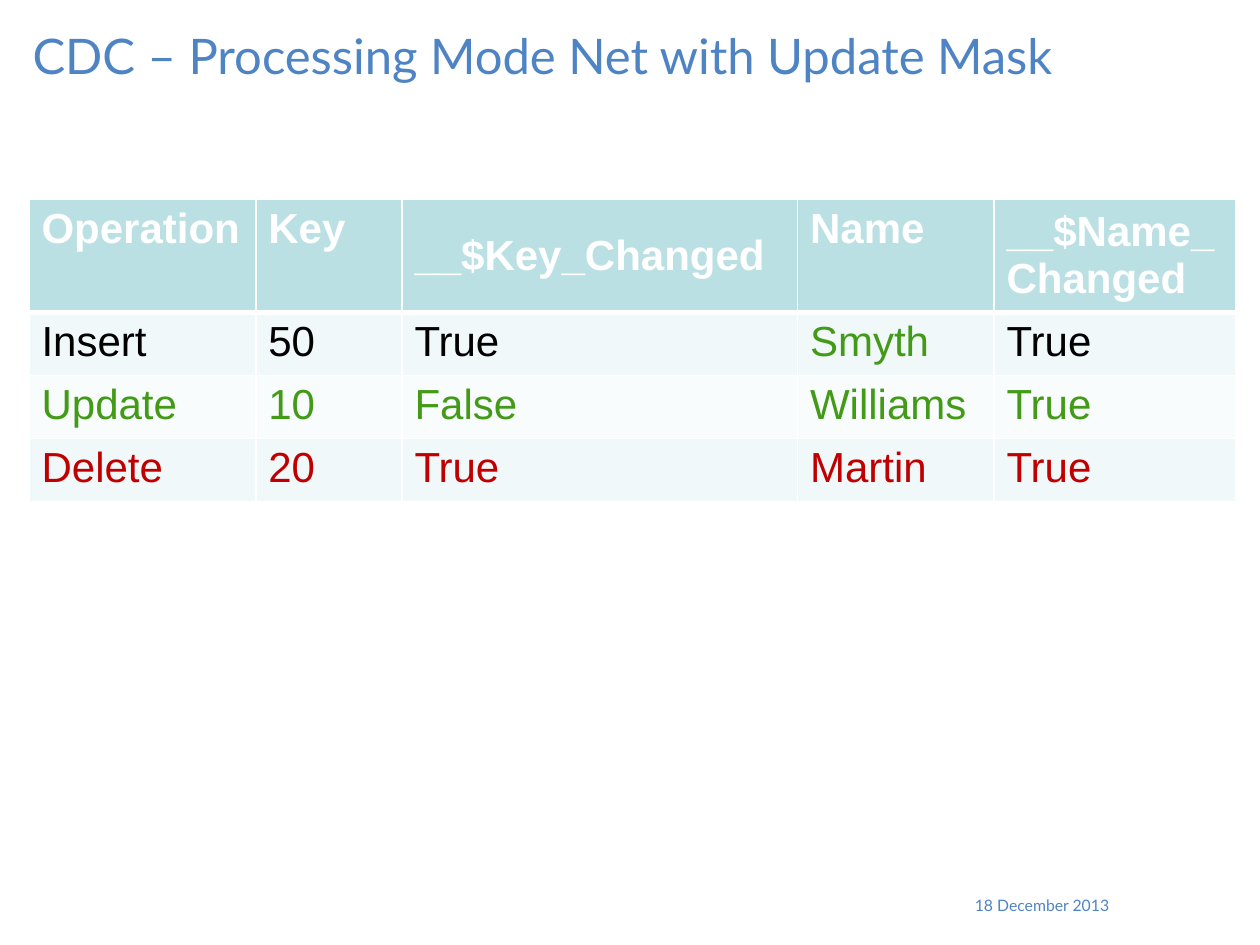
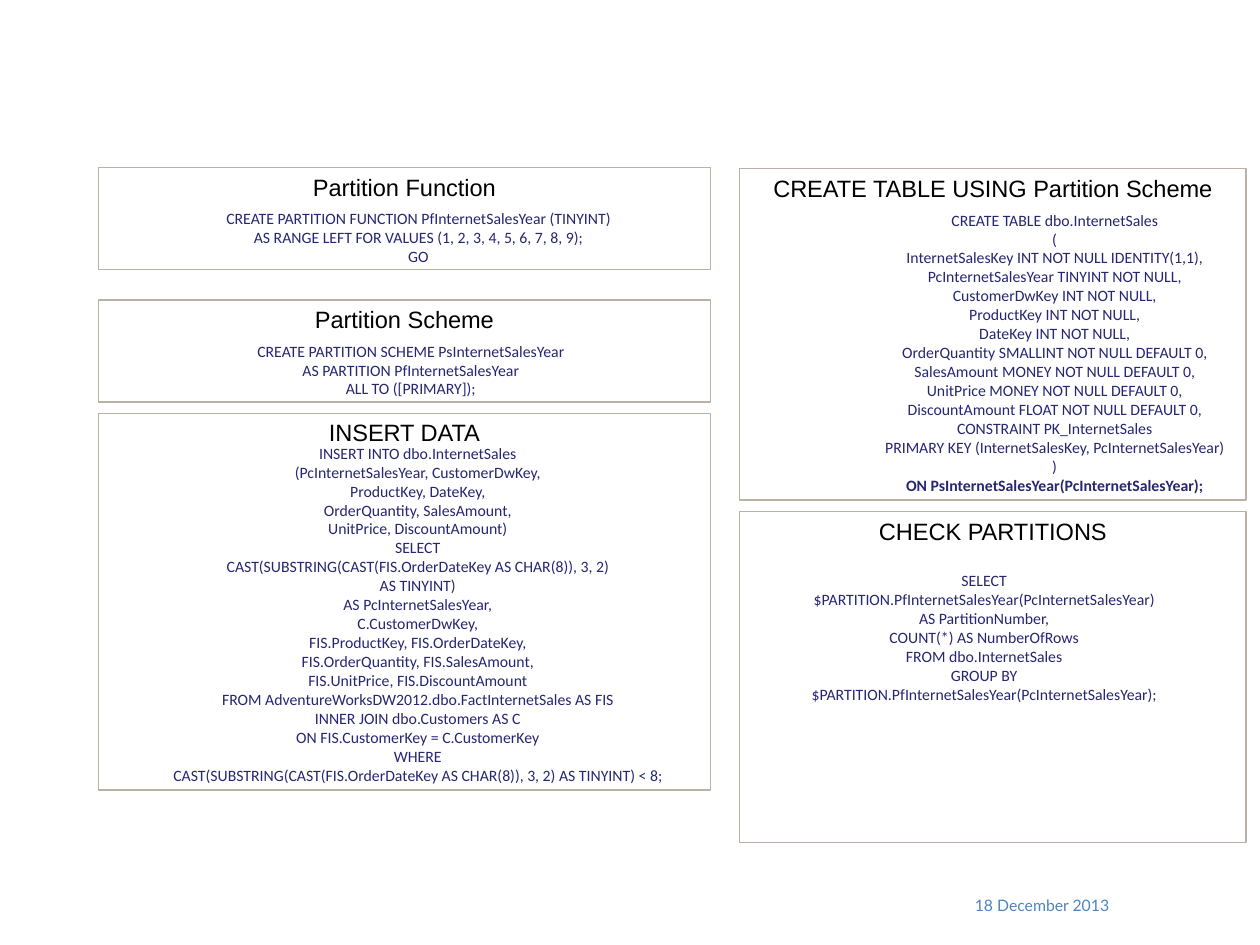
from lxml.etree import SubElement
from pptx import Presentation
from pptx.dml.color import RGBColor
from pptx.enum.shapes import MSO_SHAPE
from pptx.enum.text import MSO_ANCHOR, PP_ALIGN
from pptx.oxml.ns import qn
from pptx.util import Pt

EMU_PER_PX = 9144

WHITE = "FFFFFF"
BLACK = "000000"
ACCENT = "4E84C4"
CODE_INK = "262672"
PANEL_LINE = "BBB1A5"
HEADER_FILL = "BBE0E3"
BAND_FILLS = ("F1F8F9", "F8FCFC")
GREEN = "429A16"
RED = "C00000"


def px(length):
    return length * EMU_PER_PX


def color(value):
    return RGBColor.from_string(value)


class DeckBuilder:
    def __init__(self, width, height):
        self.deck = Presentation()
        self.deck.slide_width = px(width)
        self.deck.slide_height = px(height)
        self.page = None

    def new_page(self):
        self.page = self.deck.slides.add_slide(self.deck.slide_layouts[6])
        self.text((735, 706, 155, 35), "18 December 2013", 9, "Lato", ACCENT, PP_ALIGN.RIGHT)

    def fill_text(self, frame, content, size, font, ink, align=PP_ALIGN.LEFT, bold=False):
        frame.word_wrap = True
        frame.text = content
        for para in frame.paragraphs:
            para.alignment = align
            for span in para.runs:
                span.font.size = Pt(size)
                span.font.name = font
                span.font.bold = bold
                span.font.color.rgb = color(ink)

    def text(self, place, content, size, font, ink, align=PP_ALIGN.LEFT):
        box = self.page.shapes.add_textbox(*map(px, place))
        self.fill_text(box.text_frame, content, size, font, ink, align)
        return box

    def title(self, content):
        self.text((16, 15, 965, 67), content, 28, "Lato", ACCENT)

    def code(self, place, content):
        return self.text(place, content, 9, "Calibri", CODE_INK, PP_ALIGN.CENTER)

    def panel(self, place, heading):
        box = self.page.shapes.add_shape(MSO_SHAPE.RECTANGLE, *map(px, place))
        box.shadow.inherit = False
        box.fill.solid()
        box.fill.fore_color.rgb = color(WHITE)
        box.line.color.rgb = color(PANEL_LINE)
        box.line.width = Pt(0.75)
        frame = box.text_frame
        frame.margin_left = frame.margin_right = px(7)
        frame.margin_top = frame.margin_bottom = px(4)
        frame.vertical_anchor = MSO_ANCHOR.TOP
        self.fill_text(frame, heading, 13.5, "Arial", BLACK, PP_ALIGN.CENTER)

    def cell_borders(self, cell, top, bottom):
        properties = cell._tc.get_or_add_tcPr()
        for side, width in (("L", 1), ("R", 1), ("T", top), ("B", bottom)):
            line = SubElement(properties, qn(f"a:ln{side}"), w=str(Pt(width)))
            fill = SubElement(line, qn("a:solidFill"))
            SubElement(fill, qn("a:srgbClr"), val=WHITE)

    def table(self, left, top, widths, heights, rows, inks):
        frame = self.page.shapes.add_table(
            len(rows), len(widths), px(left), px(top), px(sum(widths)), px(sum(heights)))
        grid = frame.table
        grid.first_row = grid.horz_banding = False
        for column, width in zip(grid.columns, widths):
            column.width = px(width)
        for number, (row, height) in enumerate(zip(rows, heights)):
            grid.rows[number].height = px(height)
            header = number == 0
            for position, content in enumerate(row):
                cell = grid.cell(number, position)
                self.cell_borders(cell, 3 if number == 1 else 1, 3 if header else 1)
                cell.fill.solid()
                cell.fill.fore_color.rgb = color(HEADER_FILL if header else BAND_FILLS[(number - 1) % 2])
                if header and content.endswith("_Changed"):
                    cell.vertical_anchor = MSO_ANCHOR.MIDDLE
                ink = inks.get((number, position), inks[number])
                self.fill_text(cell.text_frame, content, 24, "Arial", ink, bold=header)


CHANGES = [
    ("Operation", "Key", "__$Key_Changed", "Name", "__$Name_Changed"),
    ("Insert", "50", "True", "Smyth", "True"),
    ("Update", "10", "False", "Williams", "True"),
    ("Delete", "20", "True", "Martin", "True"),
]
CHANGE_INKS = {0: WHITE, 1: BLACK, 2: GREEN, 3: RED, (1, 3): GREEN}

FUNCTION_SQL = """CREATE PARTITION FUNCTION PfInternetSalesYear (TINYINT)
AS RANGE LEFT FOR VALUES (1, 2, 3, 4, 5, 6, 7, 8, 9);
GO"""

SCHEME_SQL = """CREATE PARTITION SCHEME PsInternetSalesYear
AS PARTITION PfInternetSalesYear
ALL TO ([PRIMARY]);"""

TABLE_SQL = """CREATE TABLE dbo.InternetSales
(
InternetSalesKey INT NOT NULL IDENTITY(1,1),
PcInternetSalesYear TINYINT NOT NULL,
CustomerDwKey INT NOT NULL,
ProductKey INT NOT NULL,
DateKey INT NOT NULL,
OrderQuantity SMALLINT NOT NULL DEFAULT 0,
SalesAmount MONEY NOT NULL DEFAULT 0,
UnitPrice MONEY NOT NULL DEFAULT 0,
DiscountAmount FLOAT NOT NULL DEFAULT 0,
CONSTRAINT PK_InternetSales
PRIMARY KEY (InternetSalesKey, PcInternetSalesYear)
)
ON PsInternetSalesYear(PcInternetSalesYear);"""

INSERT_SQL = """INSERT INTO dbo.InternetSales
(PcInternetSalesYear, CustomerDwKey,
ProductKey, DateKey,
OrderQuantity, SalesAmount,
UnitPrice, DiscountAmount)
SELECT
CAST(SUBSTRING(CAST(FIS.OrderDateKey AS CHAR(8)), 3, 2)
AS TINYINT)
AS PcInternetSalesYear,
C.CustomerDwKey,
FIS.ProductKey, FIS.OrderDateKey,
FIS.OrderQuantity, FIS.SalesAmount,
FIS.UnitPrice, FIS.DiscountAmount
FROM AdventureWorksDW2012.dbo.FactInternetSales AS FIS
INNER JOIN dbo.Customers AS C
ON FIS.CustomerKey = C.CustomerKey
WHERE
CAST(SUBSTRING(CAST(FIS.OrderDateKey AS CHAR(8)), 3, 2) AS TINYINT) < 8;"""

CHECK_SQL = """SELECT
$PARTITION.PfInternetSalesYear(PcInternetSalesYear)
AS PartitionNumber,
COUNT(*) AS NumberOfRows
FROM dbo.InternetSales
GROUP BY
$PARTITION.PfInternetSalesYear(PcInternetSalesYear);"""


def build_update_mask(builder):
    builder.new_page()
    builder.title("CDC – Processing Mode Net with Update Mask")
    builder.table(23, 158, (180, 116, 314, 156, 192), (90, 50, 50, 50), CHANGES, CHANGE_INKS)


def build_partitioning(builder):
    builder.new_page()
    left_column, right_column = (78, 486), (587, 402)
    panels = (
        ("CHECK PARTITIONS", right_column, 406, 263),
        ("INSERT DATA", left_column, 328, 299),
        ("CREATE TABLE USING Partition Scheme", right_column, 134, 263),
        ("Partition Scheme", left_column, 238, 81),
        ("Partition Function", left_column, 133, 81),
    )
    for heading, (left, width), top, height in panels:
        builder.panel((left, top, width, height), heading)
    builder.code((82, 161, 500, 56), FUNCTION_SQL)
    builder.code((76, 266, 500, 56), SCHEME_SQL)
    table_code = builder.code((587, 162, 500, 237), TABLE_SQL)
    table_code.text_frame.paragraphs[-1].runs[0].font.bold = True
    builder.code((76, 347, 511, 283), INSERT_SQL)
    builder.code((589, 448, 384, 116), CHECK_SQL)


def main():
    builder = DeckBuilder(1000, 750)
    build_update_mask(builder)
    build_partitioning(builder)
    builder.deck.save("out.pptx")


if __name__ == "__main__":
    main()
